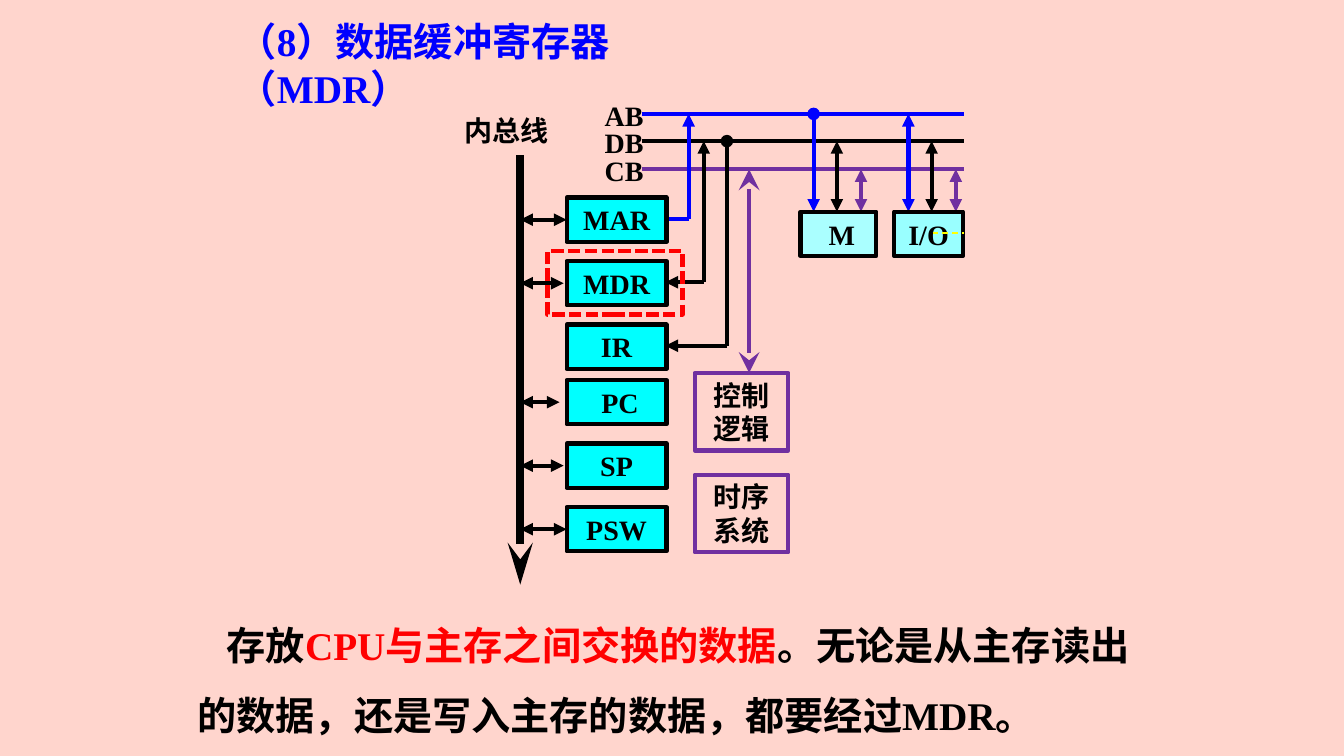
from dataclasses import dataclass

from lxml.etree import SubElement
from pptx import Presentation
from pptx.dml.color import RGBColor
from pptx.enum.dml import MSO_LINE
from pptx.enum.shapes import MSO_CONNECTOR, MSO_SHAPE
from pptx.enum.text import MSO_ANCHOR, PP_ALIGN
from pptx.oxml.ns import qn
from pptx.util import Inches, Pt


@dataclass(frozen=True)
class Theme:
    background: str = "FFD5CD"
    ink: str = "000000"
    address: str = "0000FF"
    control: str = "7030A0"
    highlight: str = "FF0000"
    register: str = "00FFFF"
    memory: str = "AAFFFF"
    device: str = "99FFFF"
    accent: str = "FFFF00"
    font: str = "Times New Roman"
    label_size: int = 20
    text_size: int = 28
    stroke: float = 3
    bus_stroke: float = 6


THEME = Theme()


def rgb(value):
    return RGBColor.from_string(value)


def add_run(paragraph, text, size, color=THEME.ink):
    run = paragraph.add_run()
    run.text = text
    run.font.name = THEME.font
    run.font.size = Pt(size)
    run.font.bold = True
    run.font.color.rgb = rgb(color)


def add_label(shape, text):
    """Centre a diagram label in a box or text box."""
    frame = shape.text_frame
    frame.word_wrap = True
    frame.vertical_anchor = MSO_ANCHOR.MIDDLE
    paragraph = frame.paragraphs[0]
    paragraph.alignment = PP_ALIGN.CENTER
    add_run(paragraph, text, THEME.label_size)


def add_text_area(slide, left, top, width, height):
    area = slide.shapes.add_textbox(*map(Inches, (left, top, width, height)))
    area.text_frame.word_wrap = True
    return area


def add_box(slide, left, top, width, height, text="", fill=None,
            color=THEME.ink, dash=None):
    box = slide.shapes.add_shape(
        MSO_SHAPE.RECTANGLE, *map(Inches, (left, top, width, height)))
    box.shadow.inherit = False
    if fill:
        box.fill.solid()
        box.fill.fore_color.rgb = rgb(fill)
    else:
        box.fill.background()
    box.line.color.rgb = rgb(color)
    box.line.width = Pt(THEME.stroke)
    if dash:
        box.line.dash_style = dash
    if text:
        add_label(box, text)


def add_line(slide, start, end, color=THEME.ink, head=None, tail=None,
             width=THEME.stroke, dash=None, tip_width="med", tip_length="med"):
    line = slide.shapes.add_connector(
        MSO_CONNECTOR.STRAIGHT, *map(Inches, (*start, *end)))
    line.line.color.rgb = rgb(color)
    line.line.width = Pt(width)
    if dash:
        line.line.dash_style = dash
    outline = line.line._get_or_add_ln()
    for tag, tip in (("a:headEnd", head), ("a:tailEnd", tail)):
        if tip:
            SubElement(outline, qn(tag), type=tip, w=tip_width, len=tip_length)
    SubElement(line._element.spPr, qn("a:effectLst"))


def add_registers(slide):
    # Internal bus with its label
    bus_x = 5.16
    add_line(slide, (bus_x, 1.54), (bus_x, 5.8), tail="stealth",
             width=THEME.bus_stroke, tip_length="lg")
    add_label(add_text_area(slide, 4.23, 1.07, 1.59, 0.44), "内总线")

    # Two groups of three registers; IR has no link to the bus
    height, pitch = 0.44, 0.63
    groups = (
        (1.96, (("MAR", 5.62), ("MDR", 5.59), ("IR", None))),
        (3.77, ((" PC", 5.55), ("SP", 5.59), ("PSW", 5.62))),
    )
    for group_top, registers in groups:
        for row, (name, link_x) in enumerate(registers):
            top = group_top + row * pitch
            middle = top + height / 2
            if link_x:
                add_line(slide, (link_x, middle), (bus_x, middle),
                         head="triangle", tail="triangle")
            add_box(slide, 5.62, top, 0.99, height, name, THEME.register)


def add_system_buses(slide, buses):
    for name, (y, color) in buses.items():
        add_line(slide, (6.37, y), (9.56, y), color)
        add_label(add_text_area(slide, 5.77, y - 0.21, 0.84, 0.44), name)


def add_memory_and_devices(slide, buses):
    box_top = 2.1
    links = (
        ("AB", 8.07, "oval"), ("DB", 8.3, "triangle"), ("CB", 8.54, "triangle"),
        ("AB", 9.01, "triangle"), ("DB", 9.24, "triangle"),
        ("CB", 9.48, "triangle"),
    )
    for bus, x, head in links:
        y, color = buses[bus]
        add_line(slide, (x, y), (x, box_top), color, head, "triangle")
    add_box(slide, 7.94, box_top, 0.75, 0.44, " M", THEME.memory)
    add_box(slide, 8.87, box_top, 0.68, 0.44, "I/O", THEME.device)
    add_line(slide, (9.25, 2.31), (9.56, 2.31), THEME.accent,
             width=1, dash=MSO_LINE.DASH)


def add_register_links(slide, buses):
    address_y, data_y, control_y = (y for y, _ in buses.values())
    register_right = 6.6
    # MAR to the address bus
    add_line(slide, (register_right, 2.17), (6.83, 2.17), THEME.address)
    add_line(slide, (6.83, 2.17), (6.83, address_y), THEME.address,
             tail="triangle")
    # MDR to and from the data bus
    add_line(slide, (6.98, 2.8), (register_right, 2.8), tail="triangle")
    add_line(slide, (6.98, 2.8), (6.98, data_y), tail="triangle")
    # Data bus to IR
    add_line(slide, (7.21, data_y), (7.21, 3.43), head="oval")
    add_line(slide, (7.21, 3.43), (register_right, 3.43), tail="triangle")
    # Control logic to the control bus
    add_line(slide, (7.43, control_y), (7.43, 3.7), THEME.control,
             "stealth", "stealth", tip_width="lg", tip_length="lg")


def add_title(slide):
    title = add_text_area(slide, 2.26, 0.12, 5.87, 1.04)
    paragraph = title.text_frame.paragraphs[0]
    add_run(paragraph, "（8）数据缓冲寄存器", THEME.text_size, THEME.address)
    paragraph.add_line_break()
    add_run(paragraph, "（MDR）", THEME.text_size, THEME.address)


def add_explanation(slide):
    explanation = add_text_area(slide, 1.86, 5.88, 9.61, 1.51)
    paragraph = explanation.text_frame.paragraphs[0]
    paragraph.line_spacing = 1.5
    paragraph._p.get_or_add_pPr().set("indent", str(Inches(0.29)))
    add_run(paragraph, "存放", THEME.text_size)
    add_run(paragraph, "CPU与主存之间交换的数据", THEME.text_size,
            THEME.highlight)
    add_run(paragraph, "。无论是从主存读出的数据，还是写入主存的数据，都要经过MDR。",
            THEME.text_size)


def main():
    deck = Presentation()
    deck.slide_width = Inches(13.33)
    deck.slide_height = Inches(7.5)
    slide = deck.slides.add_slide(deck.slide_layouts[6])
    slide.background.fill.solid()
    slide.background.fill.fore_color.rgb = rgb(THEME.background)

    # CPU diagram
    buses = {"AB": (1.13, THEME.address), "DB": (1.4, THEME.ink),
             "CB": (1.68, THEME.control)}
    add_system_buses(slide, buses)
    add_register_links(slide, buses)
    add_registers(slide)
    add_memory_and_devices(slide, buses)
    for top, unit in ((3.7, "控制逻辑"), (4.71, "时序系统")):
        add_box(slide, 6.89, top, 0.93, 0.77, unit, color=THEME.control)

    # Frame around the MDR
    add_box(slide, 5.43, 2.49, 1.34, 0.63, color=THEME.highlight,
            dash=MSO_LINE.SQUARE_DOT)

    # Title and explanation
    add_title(slide)
    add_explanation(slide)
    deck.save("out.pptx")


if __name__ == "__main__":
    main()
